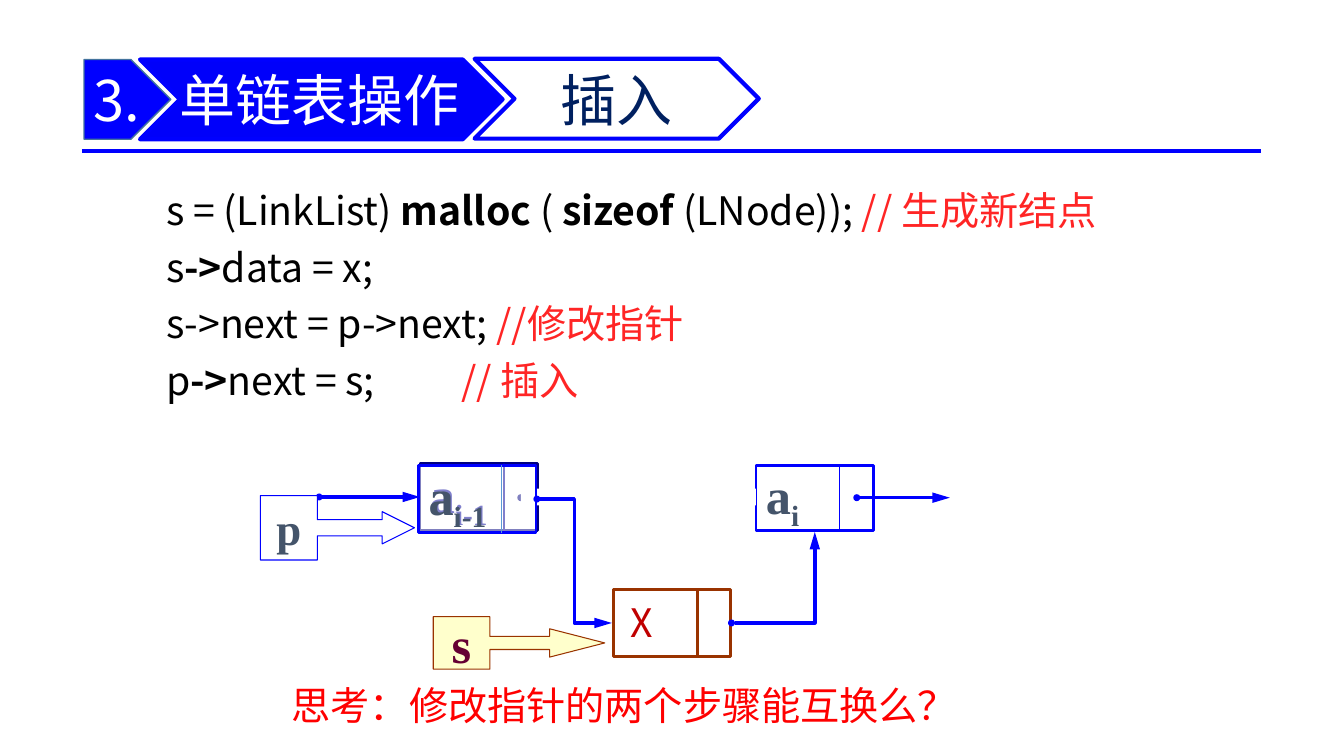
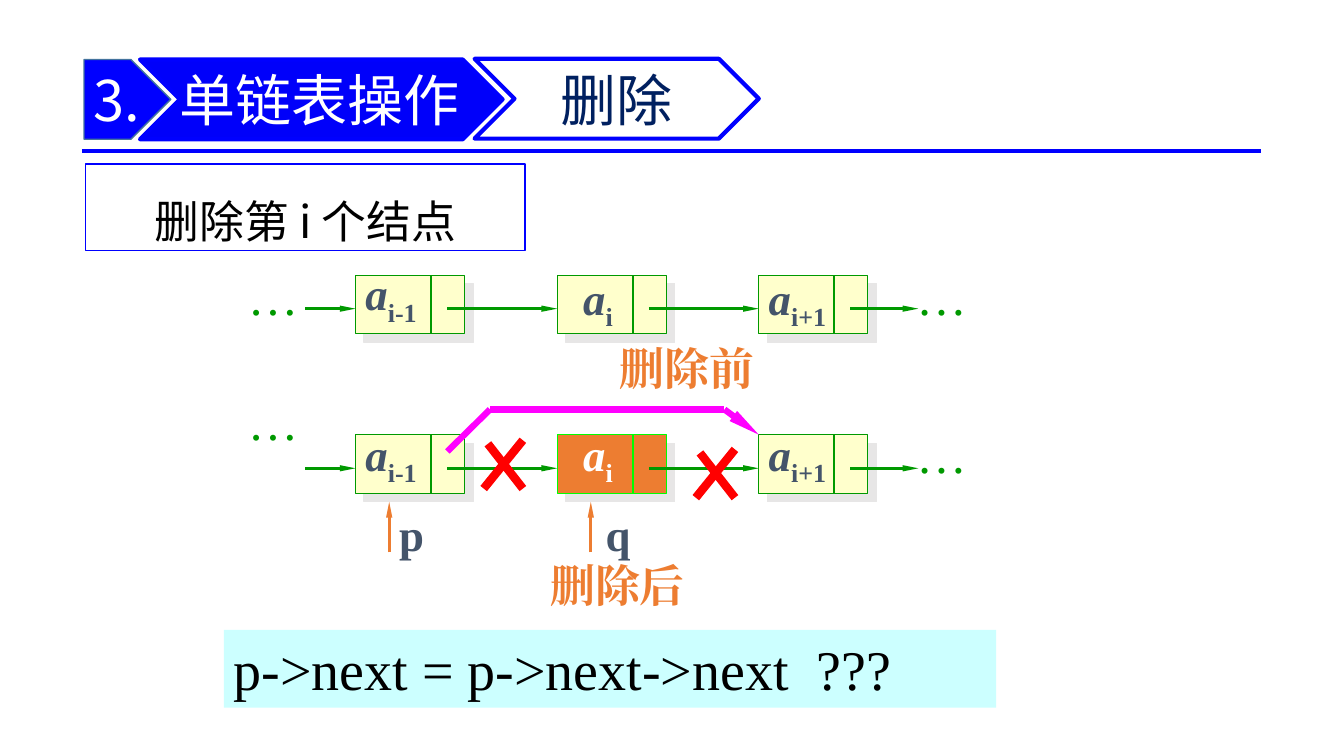
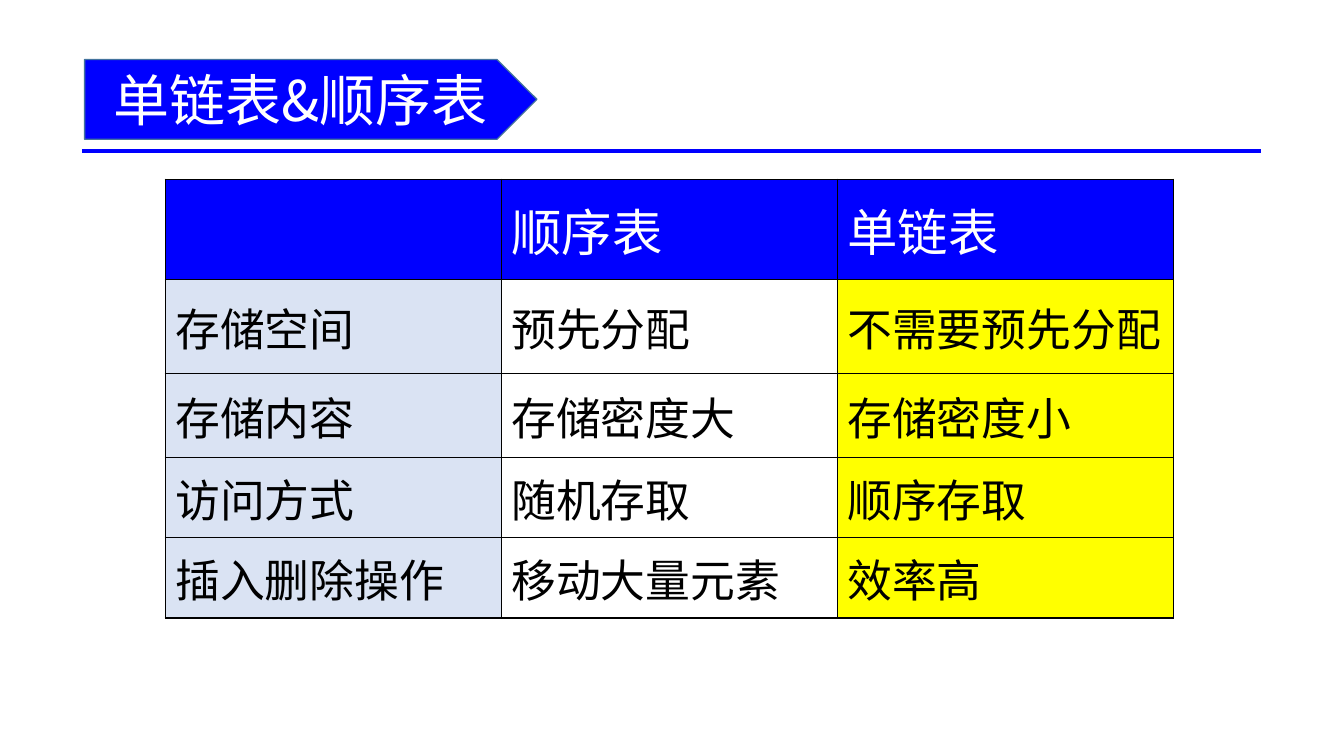
from lxml.etree import SubElement
from pptx import Presentation
from pptx.dml.color import RGBColor
from pptx.enum.shapes import MSO_CONNECTOR as WIRE, MSO_SHAPE as FORM
from pptx.enum.text import MSO_ANCHOR as ANCHOR, PP_ALIGN as ALIGN
from pptx.oxml.ns import qn
from pptx.util import Pt

rgb = RGBColor.from_string
SANS, SERIF = "Noto Sans CJK SC", "Times New Roman"
BLUE, NAVY, SLATE, WHITE = "0000FF", "000080", "44546A", "FFFFFF"
BLACK, RED, BROWN, GREEN = "000000", "FF0000", "993300", "009900"
CREAM, ORANGE, PINK = "FFFFCC", "ED7D31", "FF00FF"


def put(home, text="", box=None, form=None, fill=None, edge=None, thick=1,
        size=32, face=SANS, color=BLACK, bold=False, slant=False, align=ALIGN.LEFT,
        mid=False, wrap=True, inset=(7.2, 3.6, 7.2, 3.6), gap=None, tab=None,
        clear=False, shade=False, adj=()):
    item = home
    if box:
        spot = [Pt(v) for v in box]
        if form is None:
            item = home.shapes.add_textbox(*spot)
        else:
            item = home.shapes.add_shape(form, *spot)
            item.shadow.inherit = False
            for i, v in enumerate(adj):
                item.adjustments[i] = v
            if edge:
                item.line.color.rgb = rgb(edge)
                item.line.width = Pt(thick)
            else:
                item.line.fill.background()
    if fill:
        item.fill.solid()
        item.fill.fore_color.rgb = rgb(fill)
    if clear:
        tone = item.element.spPr.find(qn("a:solidFill")).find(qn("a:srgbClr"))
        SubElement(tone, qn("a:alpha"), val="50000")
    if shade:
        effect = item.element.spPr.find(qn("a:effectLst"))
        cast = SubElement(effect, qn("a:outerShdw"), dist=str(Pt(8.5)),
                          dir="2700000", algn="ctr", rotWithShape="0")
        SubElement(cast, qn("a:srgbClr"), val="E7E6E6")
    frame = item.text_frame
    if box:
        frame.word_wrap = wrap
        frame.vertical_anchor = ANCHOR.MIDDLE if mid else ANCHOR.TOP
        (frame.margin_left, frame.margin_top,
         frame.margin_right, frame.margin_bottom) = [Pt(v) for v in inset]
    rows = [[(text, {})]] if isinstance(text, str) else text
    for i, row in enumerate(rows):
        para = frame.add_paragraph() if i else frame.paragraphs[0]
        para.alignment = align
        if gap:
            para.line_spacing = gap
        if tab:
            stops = SubElement(para._p.get_or_add_pPr(), qn("a:tabLst"))
            SubElement(stops, qn("a:tab"), pos=str(Pt(tab)), algn="l")
        for words, look in row:
            if not words:
                continue
            run = para.add_run()
            run.text = words
            font = run.font
            font.size = Pt(size)
            font.bold = look.get("bold", bold)
            font.italic = look.get("slant", slant)
            font.color.rgb = rgb(look.get("color", color))
            font.name = face
            props = run._r.get_or_add_rPr()
            SubElement(props, qn("a:ea"), typeface=face)
            if look.get("sub"):
                props.set("baseline", "-25000")
    return item


def link(page, start, end, color, thick, tip=None, dot=False, kind=WIRE.STRAIGHT):
    wire = page.shapes.add_connector(kind, *[Pt(v) for v in (*start, *end)])
    wire.line.color.rgb = rgb(color)
    wire.line.width = Pt(thick)
    props = wire.element.spPr
    line = props.find(qn("a:ln"))
    if dot:
        SubElement(line, qn("a:headEnd"), type="oval", w="sm", len="sm")
    if tip:
        SubElement(line, qn("a:tailEnd"), type="triangle", w=tip, len="lg")
    SubElement(props, qn("a:effectLst"))
    return wire


deck = Presentation()
deck.slide_width, deck.slide_height = Pt(960), Pt(540)
blank = deck.slide_layouts[6]
add, cut, table = [deck.slides.add_slide(blank) for _ in range(3)]

rule = link(add, (58.5, 108), (901, 108), BLUE, 3)
blank.shapes.element.append(rule.element)

for page, title in ((add, "插入"), (cut, "删除")):
    put(page, "3.", (60, 42.5, 62, 57), FORM.PENTAGON, BLUE, "43739E",
        size=40, color=WHITE, mid=True, inset=(7.2, 3.6, 0, 3.6))
    put(page, "", (100, 42.5, 259, 57), FORM.CHEVRON, "0000FA", BLUE, 3)
    put(page, "单链表操作", (125.5, 31.5, 250.5, 78), size=40, color=WHITE,
        mid=True, inset=(3, 1.5, 0, 1.5))
    put(page, title, (339, 42, 203, 57), FORM.CHEVRON, WHITE, BLUE, 3,
        size=40, color="002060", align=ALIGN.CENTER, mid=True)

note, heavy = {"color": "FF2525"}, {"bold": True}
code = [
    [("s = (LinkList) ", {}), ("malloc ", heavy), ("( ", {}), ("sizeof ", heavy),
     ("(LNode));", {}), (" // 生成新结点", note)],
    [("s", {}), ("->", heavy), ("data = x;", {})],
    [("s->next = p->next; ", {}), ("//修改指针", note)],
    [("p", {}), ("->", heavy), ("next = s;\t", {}), ("// 插入", note)],
]
put(add, code, (111.5, 123, 799, 170), size=28, gap=1.2, tab=211)

put(add, "", (438, 421, 84, 48), FORM.RECTANGLE, WHITE, BROWN, 2, clear=True)
link(add, (498, 421), (498, 469), BROWN, 2)

node = dict(form=FORM.RECTANGLE, fill=WHITE, thick=1.75, size=36, face=SERIF,
            bold=True, mid=True, clear=True)
prev = [[("a", {}), ("i-1", {"sub": True})]]
this = [[("a", {}), ("i", {"sub": True})]]
put(add, prev, (300, 331, 84, 48), edge=NAVY, color="000099", **node)
link(add, (360, 331), (360, 379), "000099", 0.75)
link(add, (228, 355), (300, 355), BLUE, 2.5, "med", True)
put(add, this, (540, 332.5, 84, 46.5), edge=BLUE, color=SLATE, **node)
link(add, (600, 332.5), (600, 379), BLUE, 0.75)
link(add, (372, 355.5), (540, 355.5), NAVY, 2.5, "med", True)
link(add, (612, 355.5), (678.5, 355.5), BLUE, 2.5, "med", True)
put(add, "", (372, 349, 168, 12), FORM.RECTANGLE, WHITE)
put(add, prev, (299, 332.5, 84, 48), edge=BLUE, color=SLATE, **node)
link(add, (358.5, 332.5), (358.5, 380.5), "5B9BD5", 0.75)

link(add, (383.5, 356.5), (437, 445), BLUE, 2.5, "med", True, WIRE.ELBOW)
bend = link(add, (522.5, 445), (582, 380), BLUE, 2.5, "med", True, WIRE.ELBOW)
bend.element.spPr.find(qn("a:prstGeom")).set("prst", "bentConnector2")

flag = dict(form=FORM.RIGHT_ARROW_CALLOUT, thick=0.75, face=SERIF, bold=True,
            align=ALIGN.CENTER, mid=True)
put(add, "s", (309.5, 440.5, 122.5, 37.5), fill=CREAM, edge=BROWN, size=36,
    color="660033", adj=(0.25, 0.27, 1.05, 0.33), **flag)
put(add, "p", (186, 354, 110, 46), fill=WHITE, edge=BLUE, size=32,
    color=SLATE, adj=(0.25, 0.25, 0.5, 0.37), **flag)
put(add, "思考：修改指针的两个步骤能互换么？", (190, 483, 484, 41), size=28,
    color=RED, align=ALIGN.CENTER)
put(add, "X", (443, 424, 78, 41), size=28, color="C00000")

put(cut, "p->next = p->next->next\t???", (160, 450, 551.5, 55.5), FORM.RECTANGLE,
    "CCFFFF", size=40, face=SERIF, tab=416.5)
label = dict(face=SERIF, bold=True, wrap=False)
cells = (("i-1", 254, 0, 55), ("i", 398, 11.5, 36.5), ("i+1", 542, 0, 60))
for top, lifts, drop in ((196.5, (10, 6.5, 6.5), False), (310.5, (9.5, 9.5, 9.5), True)):
    mid = top + 24
    link(cut, (218, mid), (254, mid), GREEN, 2.25, "sm")
    for (index, left, shift, wide), lift in zip(cells, lifts):
        gone = drop and index == "i"
        edge = "00FF00" if gone else GREEN
        put(cut, "", (left, top, 78, 42), FORM.RECTANGLE, ORANGE if gone else CREAM,
            edge, 0.75, shade=True)
        link(cut, (left + 54, top), (left + 54, top + 42), edge, 1.5)
        reach = 114 if index == "i+1" else 144
        link(cut, (left + 65.5, mid), (left + reach, mid), GREEN, 2.25, "sm")
        name = [[("a", {"slant": True}), (index, {"sub": True})]]
        put(cut, name, (left + shift, top - lift, wide, 46),
            color=WHITE if gone else SLATE, **label)

for left, top in ((170, 186), (647.5, 186), (170, 275), (647.5, 299)):
    put(cut, "…", (left, top, 50.5, 50.5), size=36, face=SERIF, color=GREEN, wrap=False)
for name, tip, left in (("p", 278, 278), ("q", 422, 425.5)):
    link(cut, (tip, 394.5), (tip, 358.5), ORANGE, 2.25, "sm")
    put(cut, name, (left, 358.5, 32, 45.5), color=SLATE, **label)

route = ((319.5, 322.5), (350, 292.5), (517.5, 292.5), (542, 310.5))
for start, end in zip(route, route[1:]):
    link(cut, start, end, PINK, 4.5, "sm" if end == route[-1] else None)
for words, left, top in (("删除前", 435.5, 240), ("删除后", 386, 394.5)):
    put(cut, words, (left, top, 111, 45.5), color=ORANGE, **label)
for left, top in ((345.5, 314.5), (497, 321)):
    link(cut, (left + 3, top + 2.5), (left + 28, top + 34.5), RED, 6)
    link(cut, (left + 28, top), (left, top + 34.5), RED, 6)
put(cut, "删除第 i 个结点", (61, 117, 314, 62), FORM.RECTANGLE, WHITE, BLUE,
    align=ALIGN.CENTER, mid=True, gap=1.5)

put(table, "单链表&顺序表", (60.5, 42.5, 323, 57), FORM.PENTAGON, BLUE, "43739E",
    size=40, color=WHITE, align=ALIGN.CENTER, mid=True)
facts = (
    ("", "顺序表", "单链表"),
    ("存储空间", "预先分配", "不需要预先分配"),
    ("存储内容", "存储密度大", "存储密度小"),
    ("访问方式", "随机存取", "顺序存取"),
    ("插入删除操作", "移动大量元素", "效率高"),
)
highs = (71.5, 67.5, 60, 57, 57.5)
grid = table.shapes.add_table(5, 3, Pt(118), Pt(128), Pt(720), Pt(sum(highs))).table
grid.first_row = grid.horz_banding = False
for col in grid.columns:
    col.width = Pt(240)
for r, (row, high) in enumerate(zip(facts, highs)):
    grid.rows[r].height = Pt(high)
    for c, words in enumerate(row):
        cell = grid.cell(r, c)
        cell.vertical_anchor = ANCHOR.MIDDLE
        props = cell._tc.get_or_add_tcPr()
        for side in ("lnL", "lnR", "lnT", "lnB"):
            line = SubElement(props, qn("a:" + side), w=str(Pt(1)))
            SubElement(SubElement(line, qn("a:solidFill")), qn("a:srgbClr"), val=BLACK)
        if r:
            put(cell, words, fill=("DAE3F3", WHITE, "FFFF00")[c])
        else:
            put(cell, words, fill=BLUE, size=36, color=WHITE)

deck.save("out.pptx")
